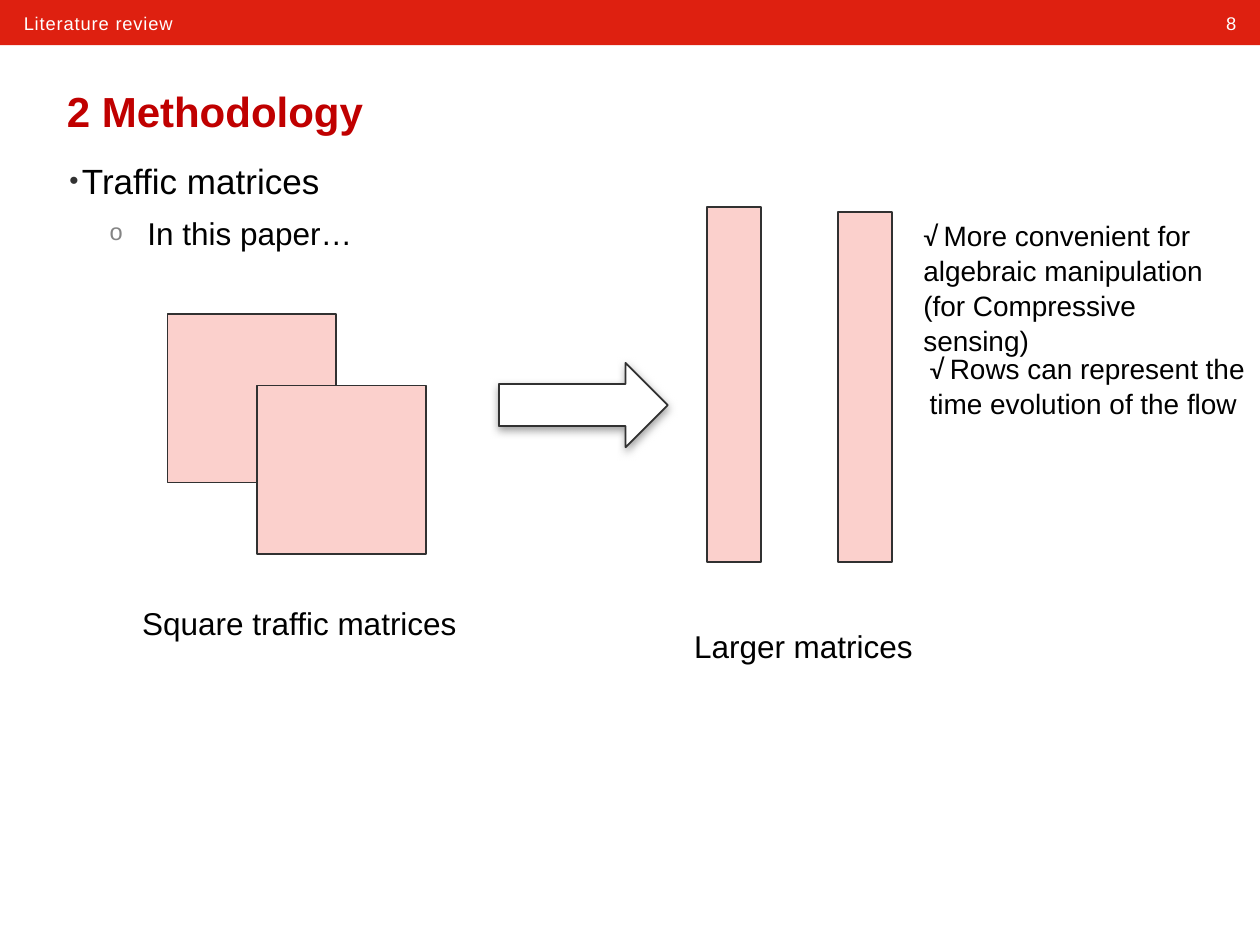
"""Build the methodology slide comparing square and larger traffic matrices."""
from lxml import etree
from pptx import Presentation
from pptx import util as u
from pptx.dml import color
from pptx.enum import shapes, text
from pptx.oxml import ns

COLORS = {"banner": "DE2010", "title": "C00000", "matrix": "FBD0CC", "outline": "313131",
          "white": "FFFFFF", "black": "000000", "shadow": "808080",
          "bullet": "323232", "sub_bullet": "848484"}
COLUMNS, ROWS = 100, 75
CELL = u.Inches(0.1)
LINE_SPACING = 1.05


def rgb(name):
    return color.RGBColor.from_string(COLORS[name])


def grid(*cells):
    return [round(cell * CELL) for cell in cells]


def place(shape, *cells):
    for name, value in zip(("left", "top", "width", "height"), grid(*cells)):
        setattr(shape, name, value)


def add_element(parent, tag, **attributes):
    return etree.SubElement(parent, ns.qn(tag), attributes)


def add_run(paragraph, words, size, font="Arial", fill="black", bold=False, spacing=None):
    run = paragraph.add_run()
    run.text = words
    formats = {"name": font, "size": u.Pt(size), "bold": bold}
    for name, value in formats.items():
        setattr(run.font, name, value)
    run.font.color.rgb = rgb(fill)
    if spacing:
        run.font._element.set("spc", str(spacing))


def add_label(slide, cells, runs, align=text.PP_ALIGN.LEFT):
    frame = slide.shapes.add_textbox(*grid(*cells)).text_frame
    frame.word_wrap = True
    frame.auto_size = text.MSO_AUTO_SIZE.SHAPE_TO_FIT_TEXT
    paragraph = frame.paragraphs[0]
    paragraph.alignment = align
    paragraph.line_spacing = LINE_SPACING
    for run in runs:
        add_run(paragraph, **run)


def add_block(slide, cells, fill, kind=shapes.MSO_SHAPE.RECTANGLE, outline="outline"):
    shape = slide.shapes.add_shape(kind, *grid(*cells))
    shape.shadow.inherit = False
    shape.fill.solid()
    shape.fill.fore_color.rgb = rgb(fill)
    if outline:
        shape.line.color.rgb = rgb(outline)
        shape.line.width = u.Pt(1)
    else:
        shape.line.fill.background()
    return shape


def add_shadow(shape):
    effects = shape._element.spPr.find(ns.qn("a:effectLst"))
    shadow = add_element(effects, "a:outerShdw", blurRad=str(u.Pt(5)), dist=str(u.Pt(2)),
                         dir="5400000", rotWithShape="0")
    tone = add_element(shadow, "a:srgbClr", val=COLORS["shadow"])
    add_element(tone, "a:alpha", val="75000")


def add_bullet(paragraph, symbol, fill, margin, indent):
    properties = paragraph._p.get_or_add_pPr()
    properties.set("marL", str(u.Inches(margin)))
    properties.set("indent", str(u.Inches(indent)))
    tone = add_element(properties, "a:buClr")
    add_element(tone, "a:srgbClr", val=COLORS[fill])
    add_element(properties, "a:buSzPct", val="75000")
    add_element(properties, "a:buFont", typeface="Arial")
    add_element(properties, "a:buChar", char=symbol)


def fill_title(slide, words):
    title = slide.shapes.title
    place(title, 4.3, 5.5, 91.3, 6.4)
    title.text_frame.vertical_anchor = text.MSO_ANCHOR.MIDDLE
    paragraph = title.text_frame.paragraphs[0]
    paragraph.alignment = text.PP_ALIGN.LEFT
    paragraph.line_spacing = LINE_SPACING
    add_run(paragraph, words, 24, fill="title", bold=True)


def fill_body(slide, items):
    body = slide.placeholders[1]
    place(body, 4.5, 12, 91.3, 58.3)
    frame = body.text_frame
    frame.auto_size = text.MSO_AUTO_SIZE.NONE
    for level, (words, size, bullet) in enumerate(items):
        paragraph = frame.add_paragraph() if level else frame.paragraphs[0]
        add_bullet(paragraph, *bullet)
        formats = {"level": level, "line_spacing": LINE_SPACING,
                   "space_before": u.Pt(6 if level else 0)}
        for name, value in formats.items():
            setattr(paragraph, name, value)
        add_run(paragraph, words, size)


def add_banner(slide):
    add_block(slide, (0, 0, COLUMNS, 3.6), "banner", outline=None)
    style = {"size": 10.5, "fill": "white", "spacing": 50}
    add_label(slide, (91.9, 0.4, 7.2, 2.8), [{"words": "8", **style}], text.PP_ALIGN.RIGHT)
    add_label(slide, (0.9, 0.4, 62.5, 2.8), [{"words": "Literature review", **style}])


def add_diagram(slide):
    for left, top in ((13.3, 24.9), (20.4, 30.6)):
        add_block(slide, (left, top, 13.4, 13.4), "matrix")
    for left, top in ((56.1, 16.4), (66.5, 16.8)):
        add_block(slide, (left, top, 4.3, 44.6 - top), "matrix")
    add_shadow(add_block(slide, (39.6, 28.8, 13.4, 6.7), "white",
                         shapes.MSO_SHAPE.RIGHT_ARROW))
    for left, top, words in ((10.3, 47.3, "Square traffic matrices"),
                             (54.1, 49.1, "Larger matrices")):
        add_label(slide, (left, top, 32.9, 4), [{"words": words, "size": 18}])


def add_advantages(slide):
    advantages = (
        (72.3, 16.7, 9.1, "More convenient for algebraic manipulation (for Compressive sensing)"),
        (72.8, 27.3, 6.4, "Rows can represent the time evolution of the flow"))
    for left, top, height, words in advantages:
        add_label(slide, (left, top, 27.7, height),
                  [{"words": "√ ", "size": 16, "font": "Calibri"},
                   {"words": words, "size": 16}])


def main():
    presentation = Presentation()
    presentation.slide_width, presentation.slide_height = grid(COLUMNS, ROWS)
    slide = presentation.slides.add_slide(presentation.slide_layouts[1])
    add_banner(slide)
    fill_title(slide, "2 Methodology")
    fill_body(slide, [("Traffic matrices", 20, ("•", "bullet", 0.1, -0.2)),
                      ("In this paper…", 18, ("o", "sub_bullet", 0.62, -0.3))])
    add_diagram(slide)
    add_advantages(slide)
    presentation.save("out.pptx")


if __name__ == "__main__":
    main()
